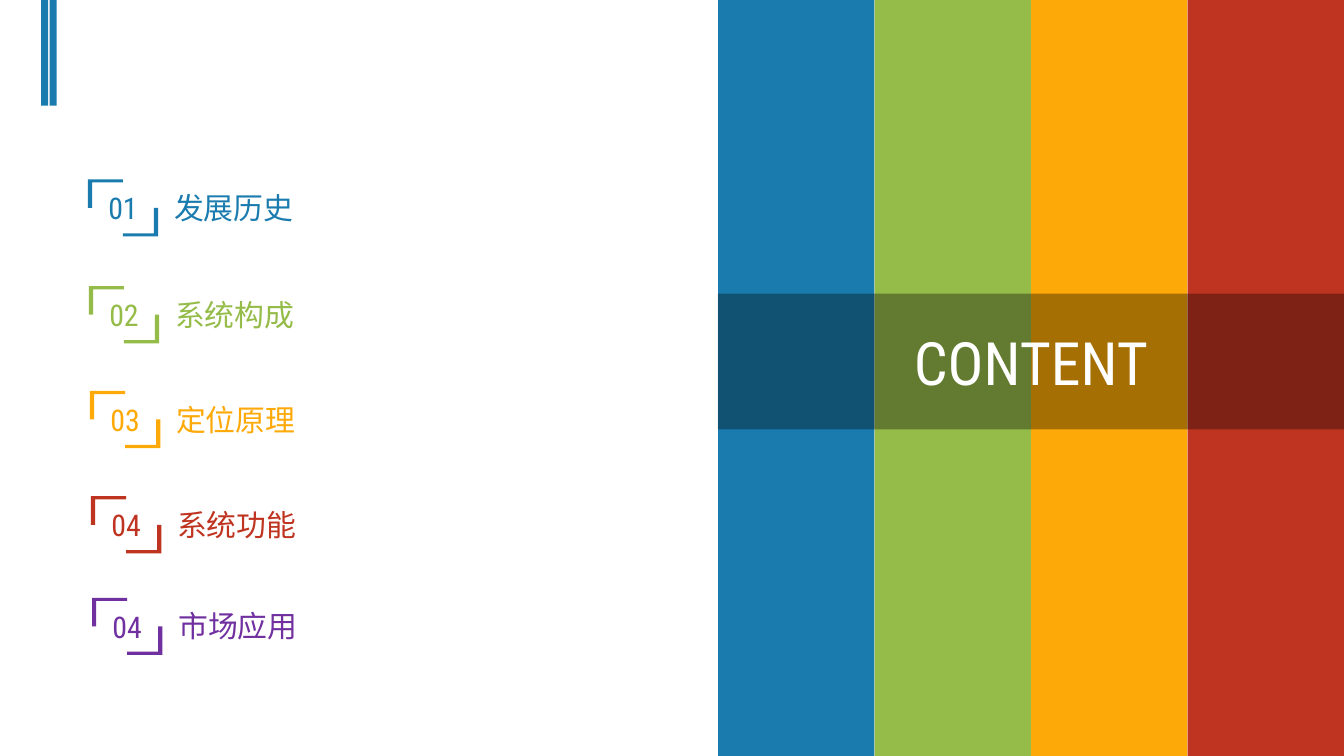
from dataclasses import dataclass

from lxml import etree
from pptx import Presentation
from pptx.dml.color import RGBColor
from pptx.enum.shapes import MSO_SHAPE
from pptx.enum.text import MSO_ANCHOR, PP_ALIGN
from pptx.oxml.ns import qn
from pptx.util import Cm, Pt

RECTANGLE = MSO_SHAPE.RECTANGLE
TOP, MIDDLE = MSO_ANCHOR.TOP, MSO_ANCHOR.MIDDLE
LEFT, CENTER = PP_ALIGN.LEFT, PP_ALIGN.CENTER

SLIDE_WIDTH, SLIDE_HEIGHT = 25.4, 14.29


@dataclass(frozen=True)
class Theme:
    blue: str = "1A7BAE"
    green: str = "95BC49"
    orange: str = "FDA907"
    red: str = "BF3420"
    purple: str = "7030A0"
    black: str = "000000"
    white: str = "FFFFFF"
    body_font: str = "Arial"
    display_font: str = "Roboto Condensed"
    entry_size: int = 16
    title_size: int = 32


def write_text(shape, text, *, font, size, color, align=LEFT, anchor=TOP, wrap=True):
    frame = shape.text_frame
    frame.word_wrap = wrap
    frame.vertical_anchor = anchor
    paragraph = frame.paragraphs[0]
    paragraph.alignment = align
    run = paragraph.add_run()
    run.text = text
    run.font.name = font
    run.font.size = Pt(size)
    run.font.color.rgb = RGBColor.from_string(color)


class SlideBuilder:
    def __init__(self, slide, theme):
        self.slide = slide
        self.theme = theme

    def paint(self, shape, color, opacity=100):
        shape.shadow.inherit = False
        shape.fill.solid()
        shape.fill.fore_color.rgb = RGBColor.from_string(color)
        shape.line.fill.background()
        if opacity < 100:
            color_element = shape.fill._xPr.find(".//" + qn("a:srgbClr"))
            alpha = etree.SubElement(color_element, qn("a:alpha"))
            alpha.set("val", str(opacity * 1000))

    def rectangle(self, left, top, width, height, color, opacity=100):
        shape = self.slide.shapes.add_shape(
            RECTANGLE, Cm(left), Cm(top), Cm(width), Cm(height))
        self.paint(shape, color, opacity)
        return shape

    def label(self, left, top, text, color):
        box = self.slide.shapes.add_textbox(Cm(left), Cm(top), Cm(10.11), Cm(0.94))
        write_text(box, text, font=self.theme.body_font,
                   size=self.theme.entry_size, color=color)

    def corner_brackets(self, left, top, number, color):
        width, height = 1.33, 1.08
        side, bar = 0.08, 0.06
        upper = [(0, 0), (width / 2, 0), (width / 2, bar),
                 (side, bar), (side, height / 2), (0, height / 2)]
        # The lower corner is the upper one turned by half a circle
        lower = [(width - x, height - y) for x, y in upper]
        first, second = [[(Cm(left + x), Cm(top + y)) for x, y in corner]
                         for corner in (upper, lower)]
        builder = self.slide.shapes.build_freeform(*first[0])
        builder.add_line_segments(first[1:], close=True)
        builder.move_to(*second[0])
        builder.add_line_segments(second[1:], close=True)
        shape = builder.convert_to_shape()
        self.paint(shape, color)
        write_text(shape, number, font=self.theme.display_font,
                   size=self.theme.entry_size, color=color,
                   align=CENTER, anchor=MIDDLE, wrap=False)

    def entry(self, left, top, number, text, color):
        self.label(left + 1.38, top + 0.07, text, color)
        self.corner_brackets(left, top, number, color)


def main():
    theme = Theme()
    presentation = Presentation()
    presentation.slide_width = Cm(SLIDE_WIDTH)
    presentation.slide_height = Cm(SLIDE_HEIGHT)
    slide = presentation.slides.add_slide(presentation.slide_layouts[6])
    builder = SlideBuilder(slide, theme)

    # Twin bars at the top left
    for left in (0.78, 0.94):
        builder.rectangle(left, 0, 0.13, 2, theme.blue)

    # Contents list, each entry slightly further right
    entries = [
        (3.39, "01", "发展历史", theme.blue),
        (5.41, "02", "系统构成", theme.green),
        (7.39, "03", "定位原理", theme.orange),
        (9.38, "04", "系统功能", theme.red),
        (11.3, "04", "市场应用", theme.purple),
    ]
    for index, (top, number, text, color) in enumerate(entries):
        builder.entry(1.66 + 0.02 * index, top, number, text, color)

    # Colour stripes on the right
    panel_left = 13.57
    panel_width = SLIDE_WIDTH - panel_left
    stripe_colors = (theme.blue, theme.green, theme.orange, theme.red)
    stripe_width = panel_width / len(stripe_colors)
    for index, color in enumerate(stripe_colors):
        builder.rectangle(panel_left + index * stripe_width, 0,
                          stripe_width, SLIDE_HEIGHT, color)

    # Translucent title band
    band = builder.rectangle(panel_left, 5.55, panel_width, 2.57,
                             theme.black, opacity=34)
    write_text(band, "CONTENT", font=theme.display_font, size=theme.title_size,
               color=theme.white, align=CENTER, anchor=MIDDLE)

    presentation.save("out.pptx")


if __name__ == "__main__":
    main()
